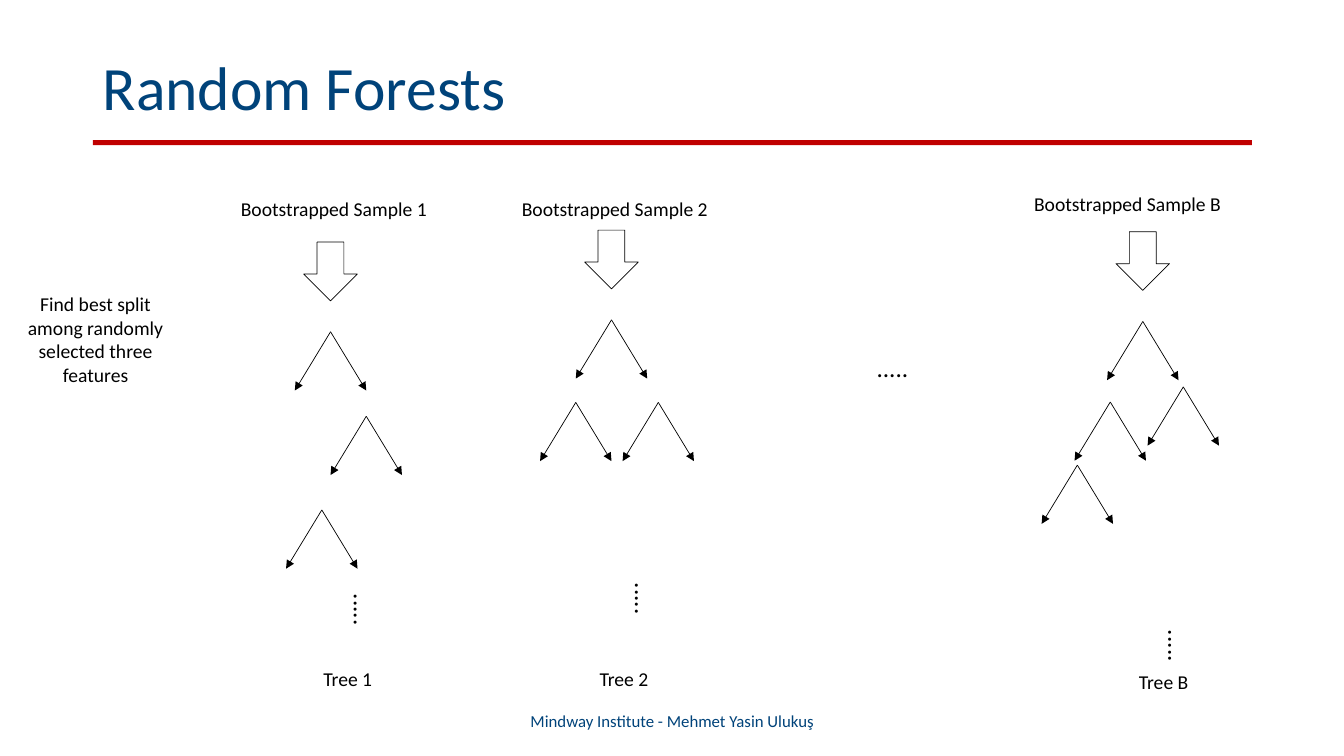
import pptx
import pptx.dml.color
import pptx.enum.shapes
import pptx.enum.text
import pptx.oxml
import pptx.util
from pptx.util import Cm

NAVY, RED, BLACK = "00437A", "C00000", "000000"
FONT = "Calibri"
DOTS = "....."

TITLE = ("Random Forests", (2.34, 1.02, 29.21, 2.51))
RULE = (2.34, 3.53, 29.21, 0.13)
FOOTER = ("Mindway Institute - Mehmet Yasin Ulukuş", (11.23, 17.65, 11.43, 1.02))
NOTE = ("Find best split among randomly selected three features", (0.25, 7.24, 4.32, 2.64))
MORE_TREES = (21.84, 8.76, 2.97, 1.02)

SAMPLE_SIZE = (5.26, 1.63)
TREE_SIZE = (1.76, 0.86)
DOTS_SIZE = (1.57, 1.02)
ARROW_SIZE = (1.35, 1.48)
BRANCH_REACH, BRANCH_DROP = 0.9, 1.48

TREES = [
    {"name": "1", "sample": (5.82, 4.83), "arrow": (8.33, 6.1), "dots": (8.38, 14.99),
     "label": (7.9, 16.69), "splits": [(8.33, 8.36), (9.23, 10.49), (8.11, 12.85)]},
    {"name": "2", "sample": (12.9, 4.83), "arrow": (15.41, 5.8), "dots": (15.47, 14.71),
     "label": (14.86, 16.69), "splits": [(15.41, 8.06), (14.51, 10.14), (16.59, 10.14)]},
    {"name": "B", "sample": (25.81, 4.72), "arrow": (28.8, 5.84), "dots": (28.91, 15.9),
     "label": (28.45, 16.76),
     "splits": [(28.8, 8.1), (27.98, 10.13), (27.15, 11.72), (29.82, 9.75)]},
]


def color(value):
    return pptx.dml.color.RGBColor.from_string(value)


def add_text(slide, text, box, size=14, ink=BLACK, centered=False, middle=False, wrap=True):
    shape = slide.shapes.add_textbox(*map(Cm, box))
    frame = shape.text_frame
    frame.word_wrap = wrap
    if middle:
        frame.vertical_anchor = pptx.enum.text.MSO_ANCHOR.MIDDLE
    paragraph = frame.paragraphs[0]
    paragraph.text = text
    if centered:
        paragraph.alignment = pptx.enum.text.PP_ALIGN.CENTER
    paragraph.font.name = FONT
    paragraph.font.size = pptx.util.Pt(size)
    paragraph.font.color.rgb = color(ink)
    return shape


def add_shape(slide, kind, box, fill=None, line=None):
    shape = slide.shapes.add_shape(kind, *map(Cm, box))
    shape.shadow.inherit = False
    if fill:
        shape.fill.solid()
        shape.fill.fore_color.rgb = color(fill)
    else:
        shape.fill.background()
    if line:
        shape.line.color.rgb = color(line)
        shape.line.width = pptx.util.Pt(0.5)
    else:
        shape.line.fill.background()


def add_branch(slide, start, end):
    branch = slide.shapes.add_connector(
        pptx.enum.shapes.MSO_CONNECTOR.STRAIGHT, *map(Cm, start + end))
    branch.line.color.rgb = color(BLACK)
    branch.line.width = pptx.util.Pt(0.5)
    properties = branch.line._get_or_add_ln()
    for parent, tag, kind in ((properties, "tailEnd", ' type="triangle"'),
                              (properties.getparent(), "effectLst", "")):
        parent.append(pptx.oxml.parse_xml(
            f'<a:{tag} xmlns:a="http://schemas.openxmlformats.org/drawingml/2006/main"{kind}/>'))


def add_tree(slide, tree):
    add_text(slide, "Bootstrapped Sample " + tree["name"], tree["sample"] + SAMPLE_SIZE, wrap=False)
    center, top = tree["arrow"]
    add_shape(slide, pptx.enum.shapes.MSO_SHAPE.DOWN_ARROW,
              (center - ARROW_SIZE[0] / 2, top) + ARROW_SIZE, line=BLACK)
    for x, y in tree["splits"]:
        for side in (1, -1):
            add_branch(slide, (x, y), (x + side * BRANCH_REACH, y + BRANCH_DROP))
    add_text(slide, DOTS, tree["dots"] + DOTS_SIZE, 18).rotation = 90
    add_text(slide, "Tree " + tree["name"], tree["label"] + TREE_SIZE, wrap=False)


def main():
    """Build the random forests slide and save it."""
    presentation = pptx.Presentation()
    presentation.slide_width, presentation.slide_height = Cm(33.87), Cm(19.05)
    slide = presentation.slides.add_slide(presentation.slide_layouts[6])
    add_shape(slide, pptx.enum.shapes.MSO_SHAPE.RECTANGLE, RULE, fill=RED)
    title = add_text(slide, *TITLE, size=44, ink=NAVY, middle=True)
    title.text_frame.paragraphs[0].line_spacing = 0.9
    add_text(slide, *FOOTER, size=12, ink=NAVY, centered=True, middle=True)
    add_text(slide, *NOTE, centered=True)
    add_text(slide, DOTS, MORE_TREES, 18)
    for tree in TREES:
        add_tree(slide, tree)
    presentation.save("out.pptx")


if __name__ == "__main__":
    main()
